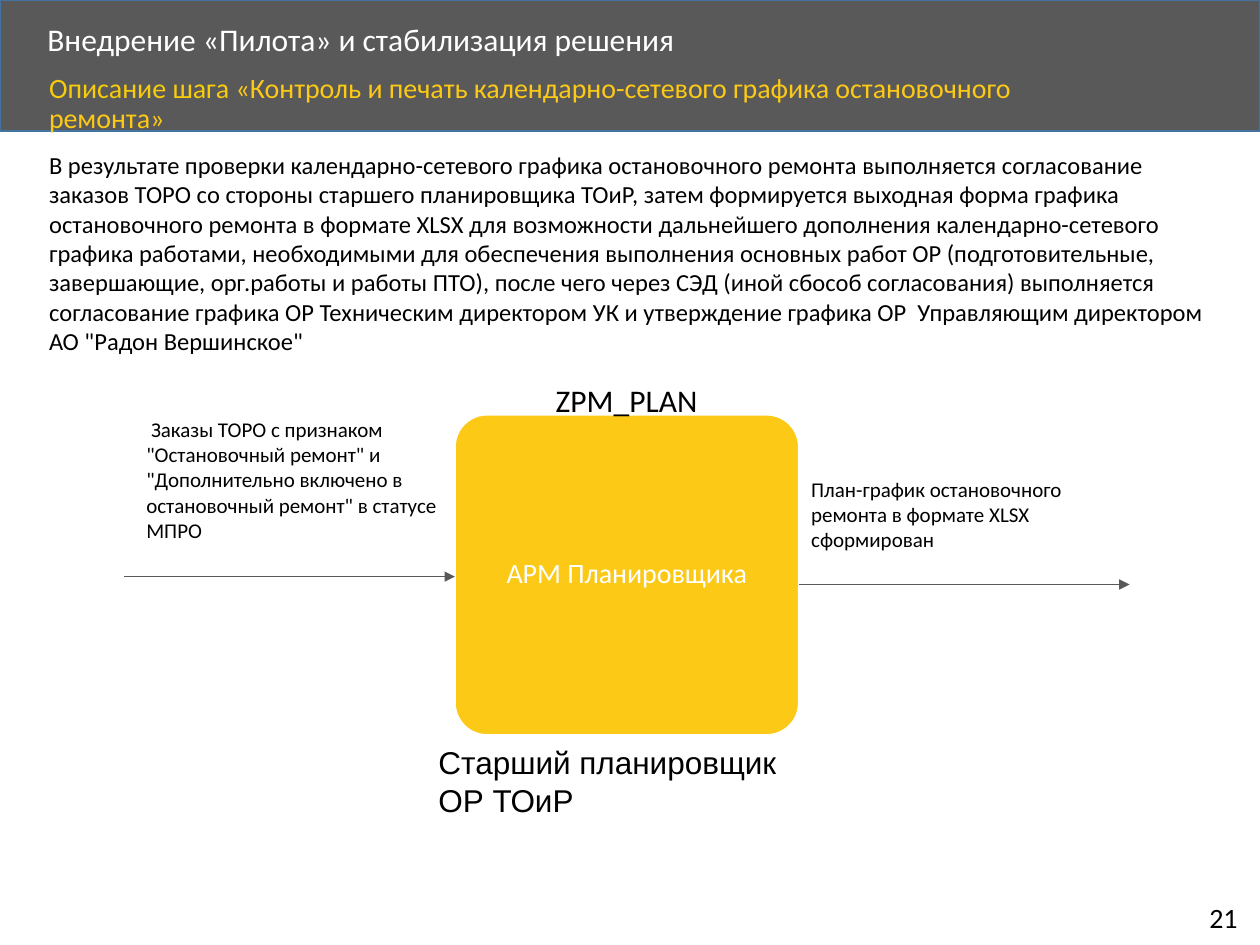
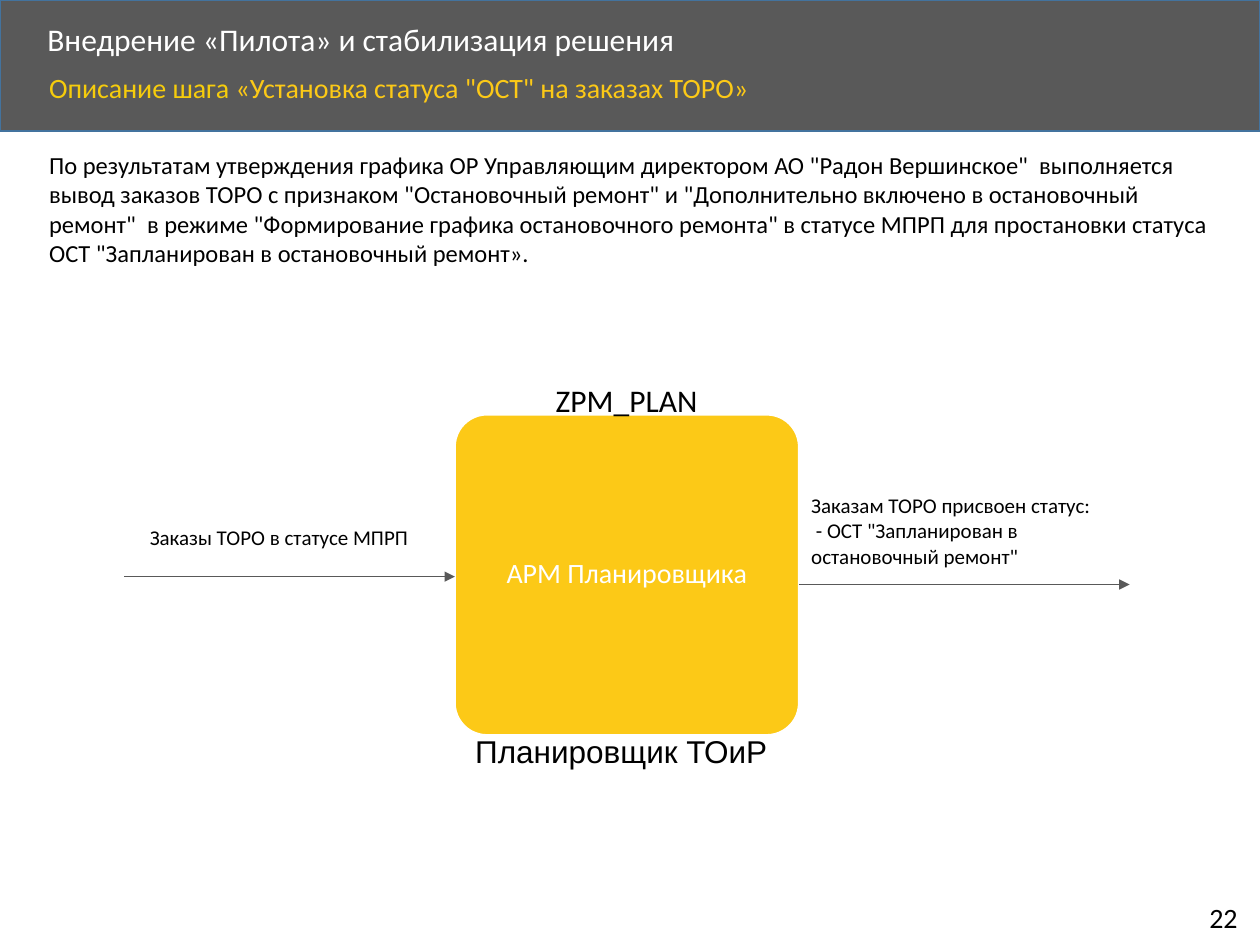
from lxml.etree import SubElement
from pptx import Presentation
from pptx.dml.color import RGBColor
from pptx.enum.shapes import MSO_CONNECTOR as Link, MSO_SHAPE as Shape
from pptx.enum.text import MSO_ANCHOR as Anchor, MSO_AUTO_SIZE as Fit, PP_ALIGN as Align
from pptx.oxml.ns import qn
from pptx.util import Pt

# Content
TITLE = "Внедрение «Пилота» и стабилизация решения"
STEP_PREFIX = "Описание шага "
SYSTEM = "АРМ Планировщика"
TRANSACTION = "ZPM_PLAN"

# Each diagram text: box (left, top, width, height) and lines (first-line indent, text)
STEPS = [
    {
        "number": 21,
        "step": "«Контроль и печать календарно-сетевого графика остановочного ремонта»",
        "description": (
            "В результате проверки календарно-сетевого графика остановочного ремонта "
            "выполняется согласование заказов ТОРО со стороны старшего планировщика ТОиР, "
            "затем формируется выходная форма графика остановочного ремонта в формате XLSX "
            "для возможности дальнейшего дополнения календарно-сетевого графика работами, "
            "необходимыми для обеспечения выполнения основных работ ОР (подготовительные, "
            "завершающие, орг.работы и работы ПТО), после чего через СЭД (иной сбособ "
            "согласования) выполняется согласование графика ОР Техническим директором УК "
            "и утверждение графика ОР  Управляющим директором АО \"Радон Вершинское\""
        ),
        "description_height": 126,
        "input": ((76.5, 234.5, 184, 80), [
            (2.7, "Заказы ТОРО с признаком \"Остановочный ремонт\" и \"Дополнительно "
                  "включено в остановочный ремонт\" в статусе МПРО")]),
        "output": ((456.5, 268.5, 185, 51), [
            (0, "План-график остановочного ремонта в формате XLSX сформирован")]),
        "role": ((243.5, 421, 235.5, 51), [(0, "Старший планировщик ОР ТОиР")]),
    },
    {
        "number": 22,
        "step": "«Установка статуса \"ОСТ\" на заказах ТОРО»",
        "description": (
            "По результатам утверждения графика ОР Управляющим директором АО "
            "\"Радон Вершинское\"  выполняется вывод заказов ТОРО с признаком "
            "\"Остановочный ремонт\" и \"Дополнительно включено в остановочный ремонт\"  "
            "в режиме \"Формирование графика остановочного ремонта\" в статусе МПРП "
            "для простановки статуса ОСТ \"Запланирован в остановочный ремонт»."
        ),
        "description_height": 75,
        "input": ((78.5, 296, 184, 22), [(0, "Заказы ТОРО в статусе МПРП")]),
        "output": ((456.5, 278, 185, 51), [
            (0, "Заказам ТОРО присвоен статус:"),
            (2.7, "- ОСТ \"Запланирован в остановочный ремонт\"")]),
        "role": ((264.5, 414.5, 188, 29), [(0, "Планировщик ТОиР")]),
    },
]

# Shared style
GREY = RGBColor(0x59, 0x59, 0x59)
BLUE = RGBColor(0x43, 0x73, 0x9E)
YELLOW = RGBColor(0xFC, 0xC9, 0x17)
MUSTARD = RGBColor(0xF6, 0xCC, 0x0C)
WHITE = RGBColor(0xFF, 0xFF, 0xFF)
BLACK = RGBColor(0, 0, 0)
PAGE_WIDTH, PAGE_HEIGHT = 720, 540
SYSTEM_BOX = (260, 237, 196.5, 183)
ARROW_LENGTH = 189


def points(values):
    return [Pt(value) for value in values]


def add_span(para, text, size, color, font="Calibri"):
    span = para.add_run()
    span.text = text
    span.font.name = font
    span.font.size = Pt(size)
    span.font.color.rgb = color


def add_text(page, place, lines, size, color=BLACK, font="Calibri", wrap=True):
    """Add a text box; lines are (first-line indent, text) pairs."""
    box = page.shapes.add_textbox(*points(place))
    frame = box.text_frame
    frame.word_wrap = wrap
    frame.auto_size = Fit.SHAPE_TO_FIT_TEXT
    for index, (indent, text) in enumerate(lines):
        para = frame.add_paragraph() if index else frame.paragraphs[0]
        if indent:
            para._p.get_or_add_pPr().set("indent", str(Pt(indent)))
        add_span(para, text, size, color, font)
    return frame


def add_block(page, kind, place, fill, line):
    block = page.shapes.add_shape(kind, *points(place))
    block.shadow.inherit = False
    block.fill.solid()
    block.fill.fore_color.rgb = fill
    block.line.color.rgb = line
    block.line.width = Pt(1)
    return block


def add_arrow(page, left, y):
    ends = points((left, y, left + ARROW_LENGTH, y))
    arrow = page.shapes.add_connector(Link.STRAIGHT, *ends)
    arrow.line.color.rgb = GREY
    arrow.line.width = Pt(0.5)
    SubElement(arrow.line._get_or_add_ln(), qn("a:tailEnd"), type="triangle")
    SubElement(arrow._element.spPr, qn("a:effectLst"))


def add_header(page, step):
    add_block(page, Shape.RECTANGLE, (0, 0, PAGE_WIDTH, 75), GREY, BLUE)
    title = add_text(page, (20, 10, 581, 27.5), [(0, TITLE)], 18, WHITE)
    title.vertical_anchor = Anchor.MIDDLE
    subtitle = add_text(page, (21, 39, 623, 32.5), [(0, STEP_PREFIX)], 16, MUSTARD)
    add_span(subtitle.paragraphs[0], step, 16, YELLOW)
    for frame in (title, subtitle):
        frame.auto_size = Fit.NONE
        frame.paragraphs[0].line_spacing = 0.9


def add_system(page):
    block = add_block(page, Shape.ROUNDED_RECTANGLE, SYSTEM_BOX, YELLOW, WHITE)
    block.adjustments[0] = 0.1
    frame = block.text_frame
    frame.word_wrap = True
    frame.vertical_anchor = Anchor.MIDDLE
    para = frame.paragraphs[0]
    para.alignment = Align.CENTER
    para.line_spacing = 0.9
    add_span(para, SYSTEM, 16, WHITE)
    add_text(page, (310.5, 214, 96.5, 29), [(0, TRANSACTION)], 18, wrap=False)


def add_step(deck, step):
    page = deck.slides.add_slide(deck.slide_layouts[6])
    add_header(page, step["step"])
    add_text(page, (21, 82, 681, step["description_height"]),
             [(0, step["description"])], 14)

    # Process diagram
    add_system(page)
    left, _, width, _ = SYSTEM_BOX
    add_arrow(page, left - ARROW_LENGTH, 329.5)
    add_arrow(page, left + width, 334)
    add_text(page, *step["input"], 12)
    add_text(page, *step["output"], 12)
    add_text(page, *step["role"], 18, font="Arial")

    # Page number
    add_text(page, (684, 511, 33, 26.5), [(0, str(step["number"]))], 16, wrap=False)


def main():
    deck = Presentation()
    deck.slide_width, deck.slide_height = points((PAGE_WIDTH, PAGE_HEIGHT))
    for step in STEPS:
        add_step(deck, step)
    deck.save("out.pptx")


if __name__ == "__main__":
    main()
